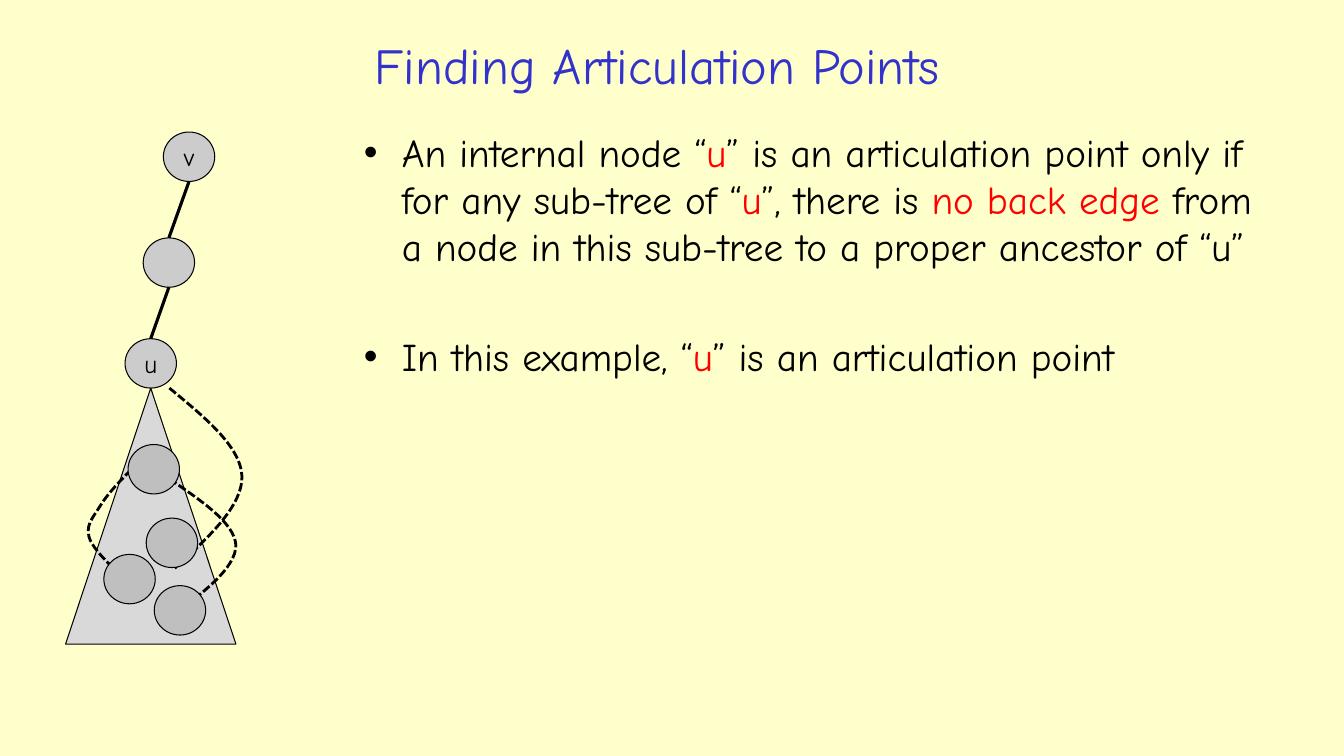
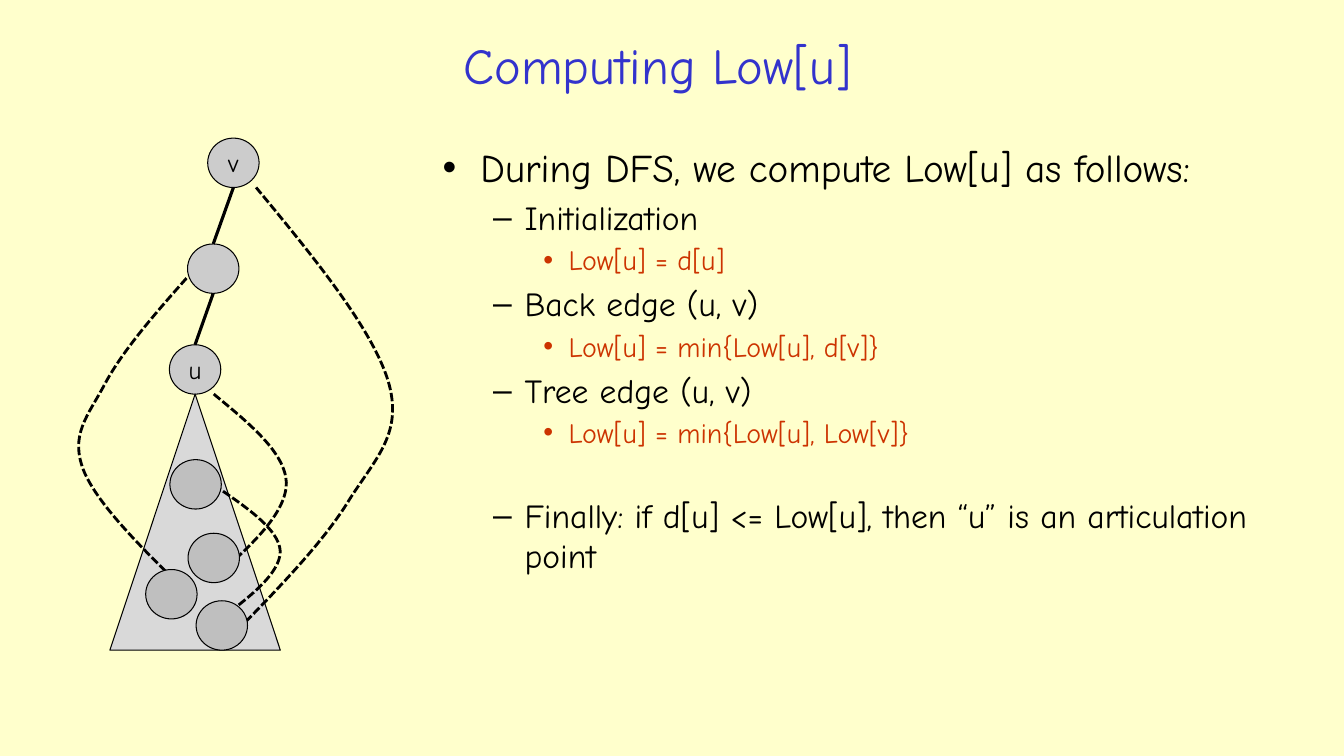
from dataclasses import dataclass
from itertools import pairwise

from lxml.etree import SubElement
from pptx import Presentation
from pptx.dml.color import RGBColor
from pptx.enum.dml import MSO_LINE
from pptx.enum.shapes import MSO_CONNECTOR, MSO_SHAPE
from pptx.enum.text import MSO_ANCHOR, MSO_AUTO_SIZE, PP_ALIGN
from pptx.oxml.ns import qn
from pptx.util import Inches, Pt


@dataclass(frozen=True)
class Theme:
    """Colours, type sizes and line widths of the deck."""
    font: str = "Comic Neue"
    paper: str = "FFFFCC"
    ink: str = "000000"
    heading: str = "3333CC"
    accent: str = "FF0000"
    formula: str = "CC3300"
    path_node: str = "CCCCCC"
    inner_node: str = "BFBFBF"
    subtree: str = "D9D9D9"
    title_size: int = 36
    label_size: int = 18
    list_sizes: tuple = (28, 24, 20)
    outline: float = 0.75
    tree_edge: float = 2.25
    back_edge: float = 2


THEME = Theme()
CELL = 0.1
NODE_SIZE = (5.1, 4.9)
PATH_NODES = [(9.7, 0, "v"), (7.7, 10.5, ""), (5.9, 20.5, "u")]
INNER_NODES = [(8.8, 45), (8, 38.3), (3.8, 41.9), (6.2, 31)]
INNER_EDGES = [
    [(10.3, 34.4), (13.5, 36.6), (16.8, 38.8), (16.9, 41),
     (16.9, 43.2), (13.8, 45.6), (10.7, 47.9)],
    [(10.3, 25.4), (13.8, 28.3), (17.4, 31.2), (17.5, 34.2),
     (17.5, 37.2), (14.1, 40.3), (10.7, 43.4)],
]
LOCAL_EDGE = [(7.3, 32.7), (5.8, 34.2), (4.3, 35.7), (3.5, 37), (2.7, 38.3),
              (1.8, 39.1), (2.5, 40.6), (3.3, 42.1), (5.5, 44), (7.7, 45.9)]
MIDDLE_EDGE = [(7.6, 13.9), (4.4, 17.5), (1.2, 21.2), (-0.5, 24.4), (-2.2, 27.6),
               (-4, 29.4), (-2.6, 33), (-1.1, 36.6), (3.7, 41.2), (8.5, 45.9)]
ROOT_EDGE = [(11.9, 49.6), (16.6, 44.8), (21.2, 40.1), (23.8, 35.8), (26.5, 31.6),
             (29.1, 29.2), (27.6, 24.1), (26, 18.9), (20.3, 11.9), (14.5, 4.9)]


def cells(*counts):
    """Turn grid columns or rows into lengths."""
    return [Inches(count * CELL) for count in counts]


def add_span(para, text, *, size, color=THEME.ink):
    """Append formatted text to a paragraph."""
    span = para.add_run()
    span.text = text
    span.font.name = THEME.font
    span.font.size = Pt(size)
    span.font.color.rgb = RGBColor.from_string(color)


class Deck:
    """Holds the presentation, its style and the current slide."""

    def __init__(self):
        """Set the slide size and the shared background."""
        self.deck = Presentation()
        self.deck.slide_width, self.deck.slide_height = Inches(13.33), Inches(7.5)
        paper = self.deck.slide_master.background.fill
        paper.solid()
        paper.fore_color.rgb = RGBColor.from_string(THEME.paper)

    def place(self, box, area):
        """Move a placeholder to a grid area and return its text frame."""
        box.left, box.top, box.width, box.height = cells(*area)
        frame = box.text_frame
        frame.word_wrap = True
        frame.auto_size = MSO_AUTO_SIZE.NONE
        return frame

    def add_page(self, title):
        """Start a slide with a centred title."""
        self.page = self.deck.slides.add_slide(self.deck.slide_layouts[1])
        frame = self.place(self.page.shapes.title, (20.4, 2.6, 89.6, 7.6))
        frame.vertical_anchor = MSO_ANCHOR.MIDDLE
        para = frame.paragraphs[0]
        para.alignment = PP_ALIGN.CENTER
        add_span(para, title, size=THEME.title_size, color=THEME.heading)

    def add_list(self, area, items):
        """Fill the body with (level, gap before, spans) items."""
        frame = self.place(self.page.placeholders[1], area)
        for index, (level, gap, spans) in enumerate(items):
            para = frame.add_paragraph() if index else frame.paragraphs[0]
            size = THEME.list_sizes[level]
            para.level = level
            para.space_before = Pt((gap or 0.2 * size) if index else 0)
            for text, color in spans:
                add_span(para, text, size=size, color=color)

    def style_outline(self, shape, width):
        """Give a shape or connector a plain dark line."""
        shape.line.color.rgb = RGBColor.from_string(THEME.ink)
        shape.line.width = Pt(width)

    def add_shape(self, kind, area, fill, label=""):
        """Draw a filled preset shape with an optional label."""
        shape = self.page.shapes.add_shape(kind, *cells(*area))
        shape.shadow.inherit = False
        shape.fill.solid()
        shape.fill.fore_color.rgb = RGBColor.from_string(fill)
        self.style_outline(shape, THEME.outline)
        if label:
            frame = shape.text_frame
            frame.word_wrap = False
            frame.margin_left = frame.margin_right = 0
            frame.vertical_anchor = MSO_ANCHOR.MIDDLE
            frame.paragraphs[0].alignment = PP_ALIGN.CENTER
            add_span(frame.paragraphs[0], label, size=THEME.label_size)

    def add_tree_edge(self, start, end):
        """Draw a straight edge between two grid points."""
        edge = self.page.shapes.add_connector(
            MSO_CONNECTOR.STRAIGHT, *cells(*start, *end))
        self.style_outline(edge, THEME.tree_edge)
        SubElement(edge._element.spPr, qn("a:effectLst"))

    def add_back_edge(self, points):
        """Draw a dashed chain of cubic curves through control points."""
        start, *rest = [cells(*point) for point in points]
        builder = self.page.shapes.build_freeform(*start)
        builder.add_line_segments(rest, close=False)
        curve = builder.convert_to_shape()
        curve.shadow.inherit = False
        curve.fill.background()
        self.style_outline(curve, THEME.back_edge)
        curve.line.dash_style = MSO_LINE.SQUARE_DOT
        segments = list(curve._element.iter(qn("a:lnTo")))
        for first, second, third in zip(*[iter(segments)] * 3):
            first.tag_name = None
            parent = first.getparent()
            bezier = parent.makeelement(qn("a:cubicBezTo"))
            parent.replace(first, bezier)
            for segment in (first, second, third):
                bezier.append(segment[0])
            parent.remove(second)
            parent.remove(third)

    def add_tree(self, origin, back_edges, inner_shift=(0, 0)):
        """Draw the search tree with its top left corner at the origin."""
        left, top = origin
        width, height = NODE_SIZE
        for x, y, label in reversed(PATH_NODES):
            self.add_shape(MSO_SHAPE.OVAL, (left + x, top + y, width, height),
                           THEME.path_node, label)
        self.add_shape(MSO_SHAPE.ISOSCELES_TRIANGLE,
                       (left, top + 25.4, 16.9, 25.4), THEME.subtree)
        for upper, lower in pairwise(PATH_NODES):
            self.add_tree_edge(
                (left + upper[0] + width / 2, top + upper[1] + height),
                (left + lower[0] + width / 2, top + lower[1]))
        for points in INNER_EDGES + back_edges:
            self.add_back_edge([(left + x, top + y) for x, y in points])
        for x, y in INNER_NODES:
            self.add_shape(MSO_SHAPE.OVAL,
                           (left + x + inner_shift[0], top + y + inner_shift[1],
                            width, height), THEME.inner_node)


def main():
    """Build both slides and save the deck."""
    ink, accent, formula = THEME.ink, THEME.accent, THEME.formula
    show = Deck()

    show.add_page("Finding Articulation Points")
    show.add_list((35.1, 12.2, 92.6, 56.5), [
        (0, None, [
            ("An internal node “", ink), ("u", accent),
            ("” is an articulation point only if for any sub-tree of “", ink),
            ("u", accent), ("”, there is ", ink), ("no back edge", accent),
            (" from a node in this sub-tree to a proper ancestor of “u”", ink)]),
        (0, 45, [("In this example, “", ink), ("u", accent),
                 ("” is an articulation point", ink)]),
    ])
    show.add_tree((6.5, 13.1), [LOCAL_EDGE])

    show.add_page("Computing Low[u]")
    show.add_list((42.9, 13.7, 87.4, 56.1), [
        (0, None, [("During DFS, we compute Low[u] as follows:", ink)]),
        (1, None, [("Initialization", ink)]),
        (2, None, [("Low[u] = d[u]", formula)]),
        (1, None, [("Back edge (u, v)", ink)]),
        (2, None, [("Low[u] = min{Low[u], d[v]}", formula)]),
        (1, None, [("Tree edge (u, v)", ink)]),
        (2, None, [("Low[u] = min{Low[u], Low[v]}", formula)]),
        (1, 32.5, [("Finally: if d[u] <= Low[u], then “u” is an articulation point",
                    ink)]),
    ])
    show.add_tree((10.9, 13.7), [MIDDLE_EDGE, ROOT_EDGE], inner_shift=(-0.25, 0.9))

    show.deck.save("out.pptx")


if __name__ == "__main__":
    main()
